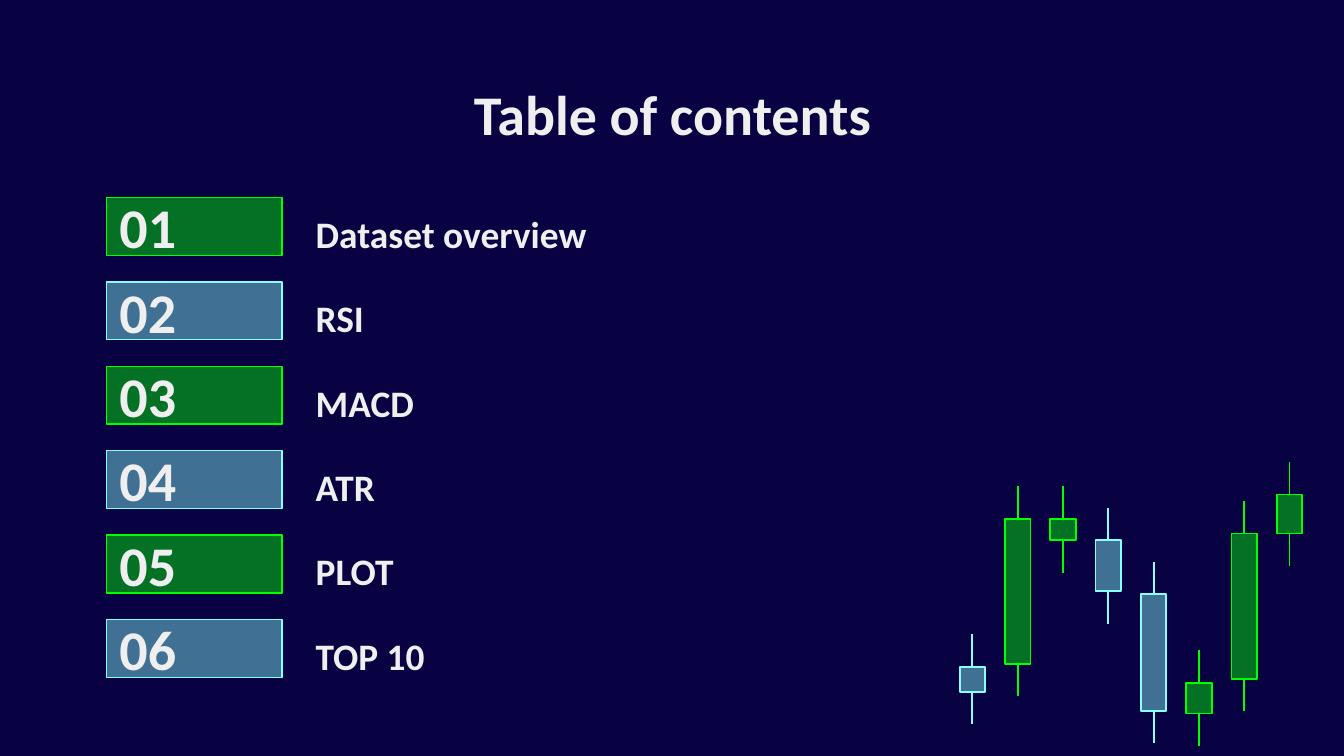
from lxml.etree import SubElement
from pptx import Presentation
from pptx.dml.color import RGBColor
from pptx.enum.shapes import MSO_CONNECTOR as Connector, MSO_SHAPE as Shape
from pptx.enum.text import MSO_ANCHOR as Anchor, PP_ALIGN as Align
from pptx.oxml.ns import qn
from pptx.util import Inches, Pt

NAVY = RGBColor(0x08, 0x02, 0x43)
GREEN = RGBColor(0x00, 0xFF, 0x00)
CYAN = RGBColor(0x89, 0xFF, 0xFF)
WHITE = RGBColor(0xEF, 0xEF, 0xEF)

FILL_ALPHA = 44
TOPICS = ["Dataset overview", "RSI", "MACD", "ATR", "PLOT", "TOP 10"]
ROW_TOP, ROW_STEP, ROW_HEIGHT = 1.47, 3.14 / 5, 0.43

CANDLES = [
    (CYAN, 4.96, 5.15),
    (GREEN, 3.86, 4.94),
    (GREEN, 3.86, 4.02),
    (CYAN, 4.02, 4.4),
    (CYAN, 4.42, 5.29),
    (GREEN, 5.08, 5.31),
    (GREEN, 3.97, 5.05),
    (GREEN, 3.68, 3.97),
]
CANDLE_LEFT, CANDLE_STEP, CANDLE_WIDTH = 7.14, 2.36 / 7, 0.19
WICK = 0.24


def write_text(shape, text, size, align=Align.LEFT, anchor=Anchor.TOP):
    frame = shape.text_frame
    margins = ("margin_left", "margin_top", "margin_right", "margin_bottom")
    layout = {"word_wrap": True, "vertical_anchor": anchor}
    layout.update(dict.fromkeys(margins, Inches(0.1)))
    for name, value in layout.items():
        setattr(frame, name, value)
    para = frame.paragraphs[0]
    para.alignment = align
    span = para.add_run()
    span.text = text
    style = {"name": "Calibri", "size": Pt(size), "bold": True}
    for name, value in style.items():
        setattr(span.font, name, value)
    span.font.color.rgb = WHITE


def add_label(page, left, top, width, height, text, size, align=Align.LEFT):
    box = page.shapes.add_textbox(
        Inches(left), Inches(top), Inches(width), Inches(height))
    write_text(box, text, size, align)


def add_glass_box(page, left, top, width, height, color, line_width):
    box = page.shapes.add_shape(
        Shape.RECTANGLE, Inches(left), Inches(top), Inches(width), Inches(height))
    box.shadow.inherit = False
    box.fill.solid()
    box.fill.fore_color.rgb = color
    tint = box._element.spPr.find(qn("a:solidFill"))[0]
    SubElement(tint, qn("a:alpha")).set("val", str(FILL_ALPHA * 1000))
    box.line.color.rgb = color
    box.line.width = Pt(line_width)
    return box


def add_wick(page, x, start, end, color):
    wick = page.shapes.add_connector(
        Connector.STRAIGHT, Inches(x), Inches(start), Inches(x), Inches(end))
    wick.line.color.rgb = color
    wick.line.width = Pt(1)
    SubElement(wick._element.spPr, qn("a:effectLst"))


def add_candle(page, left, color, top, bottom):
    add_glass_box(page, left, top, CANDLE_WIDTH, bottom - top, color, 1)
    center = left + CANDLE_WIDTH / 2
    add_wick(page, center, top - WICK, top, color)
    add_wick(page, center, bottom, bottom + WICK, color)


def add_topic(page, index, topic):
    top = ROW_TOP + index * ROW_STEP
    color = (GREEN, CYAN)[index % 2]
    number = add_glass_box(page, 0.79, top, 1.31, ROW_HEIGHT, color, 0.75)
    write_text(number, f"{index + 1:02}", 30, anchor=Anchor.MIDDLE)
    add_label(page, 2.25, top, 3.51, ROW_HEIGHT, topic, 20)


def main():
    deck = Presentation()
    deck.slide_width = Inches(10)
    deck.slide_height = Inches(10 * 9 / 16)
    page = deck.slides.add_slide(deck.slide_layouts[6])
    page.background.fill.solid()
    page.background.fill.fore_color.rgb = NAVY

    add_label(page, 0.79, 0.49, 8.43, 0.63, "Table of contents", 30, Align.CENTER)
    for index, topic in enumerate(TOPICS):
        add_topic(page, index, topic)
    for index, candle in enumerate(CANDLES):
        add_candle(page, CANDLE_LEFT + index * CANDLE_STEP, *candle)

    deck.save("out.pptx")


if __name__ == "__main__":
    main()
